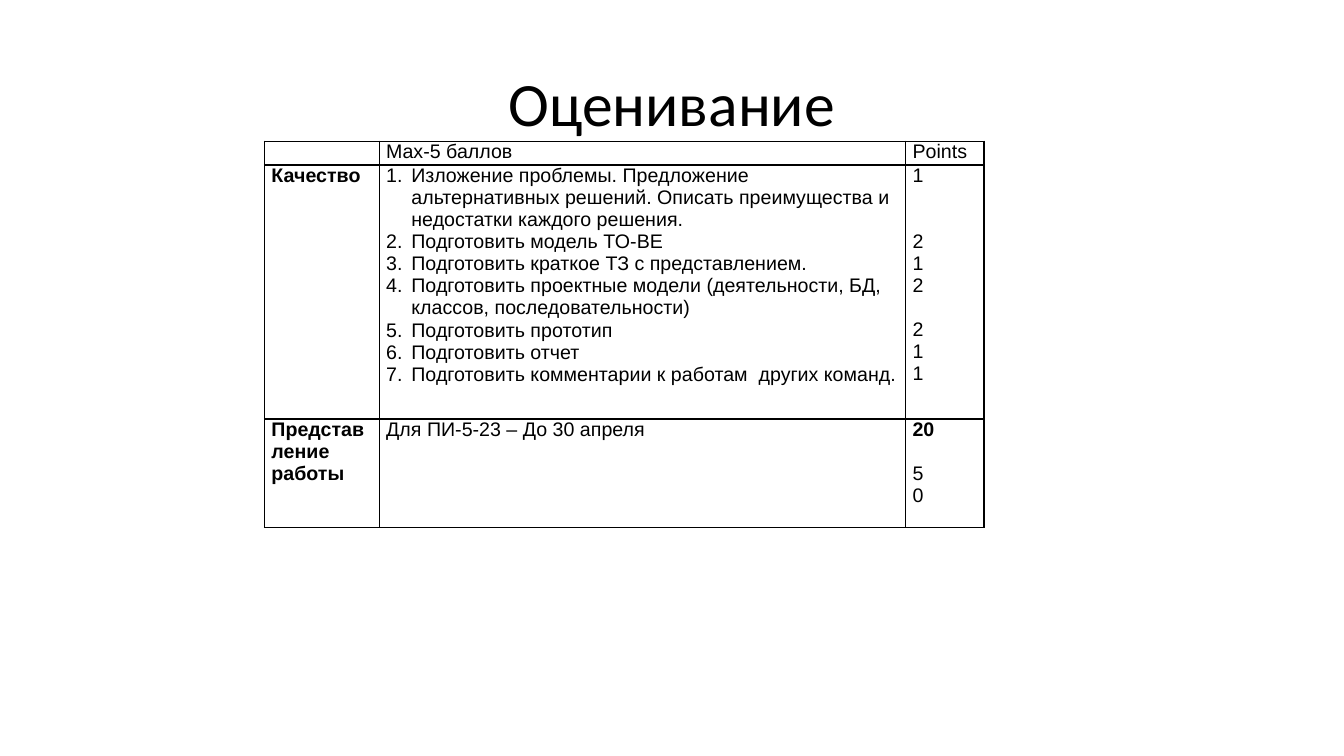
"""Build the grading slide: a title above a table of criteria and points."""
from lxml.etree import SubElement
from pptx import Presentation
from pptx.dml.color import RGBColor
from pptx.enum.text import MSO_ANCHOR, PP_ALIGN
from pptx.oxml.ns import qn
from pptx.util import Pt

COLORS = {"text": "000000", "border": "000000"}
BODY_SIZE = 14
LINE_HEIGHT = 15.7
COLUMN_WIDTHS = [82, 376, 56]
ROW_HEIGHTS = [15.12, 181.4, 77.8]

CRITERIA = [
    "Изложение проблемы. Предложение альтернативных решений. "
    "Описать преимущества и недостатки каждого решения.",
    "Подготовить модель TO-BE",
    "Подготовить краткое ТЗ с представлением.",
    "Подготовить проектные модели (деятельности, БД, классов, последовательности)",
    "Подготовить прототип",
    "Подготовить отчет",
    "Подготовить комментарии к работам  других команд.",
]
CRITERIA_POINTS = ["1", "2", "1", "2", "2", "1", "1"]
GRADING = [
    [[], ["Max-5 баллов"], ["Points"]],
    [["Качество"], CRITERIA, CRITERIA_POINTS],
    [["Представление работы"], ["Для ПИ-5-23 – До 30 апреля"], ["20", "5", "0"]],
]
BOLD_TEXTS = {"Качество", "Представление работы", "20"}
LINES_SKIPPED = {(1, 2): {1: 2, 4: 1}, (2, 2): {1: 1}}


def format_font(font, name, size, bold=False):
    values = {"name": name, "size": Pt(size), "bold": bold}
    for attribute, value in values.items():
        setattr(font, attribute, value)
    font.color.rgb = RGBColor.from_string(COLORS["text"])


def draw_borders(cell):
    properties = cell._tc.get_or_add_tcPr()
    for side in ("lnL", "lnR", "lnT", "lnB"):
        line = SubElement(properties, qn(f"a:{side}"), w=str(Pt(1)))
        fill = SubElement(line, qn("a:solidFill"))
        SubElement(fill, qn("a:srgbClr"), val=COLORS["border"])


deck = Presentation()
deck.slide_width, deck.slide_height = Pt(960), Pt(540)
slide = deck.slides.add_slide(deck.slide_layouts[5])

heading = slide.shapes.title
heading_box = {"left": 66, "top": 28.8, "width": 828, "height": 94.4}
for attribute, value in heading_box.items():
    setattr(heading, attribute, Pt(value))
heading.text_frame.vertical_anchor = MSO_ANCHOR.MIDDLE
heading_line = heading.text_frame.paragraphs[0]
heading_line.alignment = PP_ALIGN.CENTER
heading_line.line_spacing = 0.9
heading_run = heading_line.add_run()
heading_run.text = "Оценивание"
format_font(heading_run.font, "Calibri", 44)

grading_table = slide.shapes.add_table(
    len(ROW_HEIGHTS), len(COLUMN_WIDTHS), Pt(188.9), Pt(100.8),
    Pt(sum(COLUMN_WIDTHS)), Pt(sum(ROW_HEIGHTS)),
).table
grading_table.first_row = False
grading_table.horz_banding = False
for column, width in zip(grading_table.columns, COLUMN_WIDTHS):
    column.width = Pt(width)
for row, height in zip(grading_table.rows, ROW_HEIGHTS):
    row.height = Pt(height)

cell_format = {
    "margin_left": Pt(5), "margin_right": Pt(5),
    "margin_top": Pt(0), "margin_bottom": Pt(0),
    "vertical_anchor": MSO_ANCHOR.TOP,
}
for row_index, row_texts in enumerate(GRADING):
    for column_index, entries in enumerate(row_texts):
        cell = grading_table.cell(row_index, column_index)
        for attribute, value in cell_format.items():
            setattr(cell, attribute, value)
        draw_borders(cell)
        cell.fill.background()
        frame = cell.text_frame
        if not entries:
            SubElement(frame.paragraphs[0]._p, qn("a:endParaRPr"), sz=str(BODY_SIZE * 100))
        skipped = LINES_SKIPPED.get((row_index, column_index), {})
        for entry_index, entry in enumerate(entries):
            paragraph = frame.add_paragraph() if entry_index else frame.paragraphs[0]
            if entry_index in skipped:
                paragraph.space_before = Pt(LINE_HEIGHT * skipped[entry_index])
            if entries is CRITERIA:
                numbering = paragraph._p.get_or_add_pPr()
                numbering.set("marL", str(Pt(18)))
                numbering.set("indent", str(-Pt(18)))
                SubElement(numbering, qn("a:buFont"), typeface="+mj-lt")
                SubElement(numbering, qn("a:buAutoNum"), type="arabicPeriod")
            run = paragraph.add_run()
            run.text = entry
            format_font(run.font, "Arial", BODY_SIZE, entry in BOLD_TEXTS)

deck.save("out.pptx")
